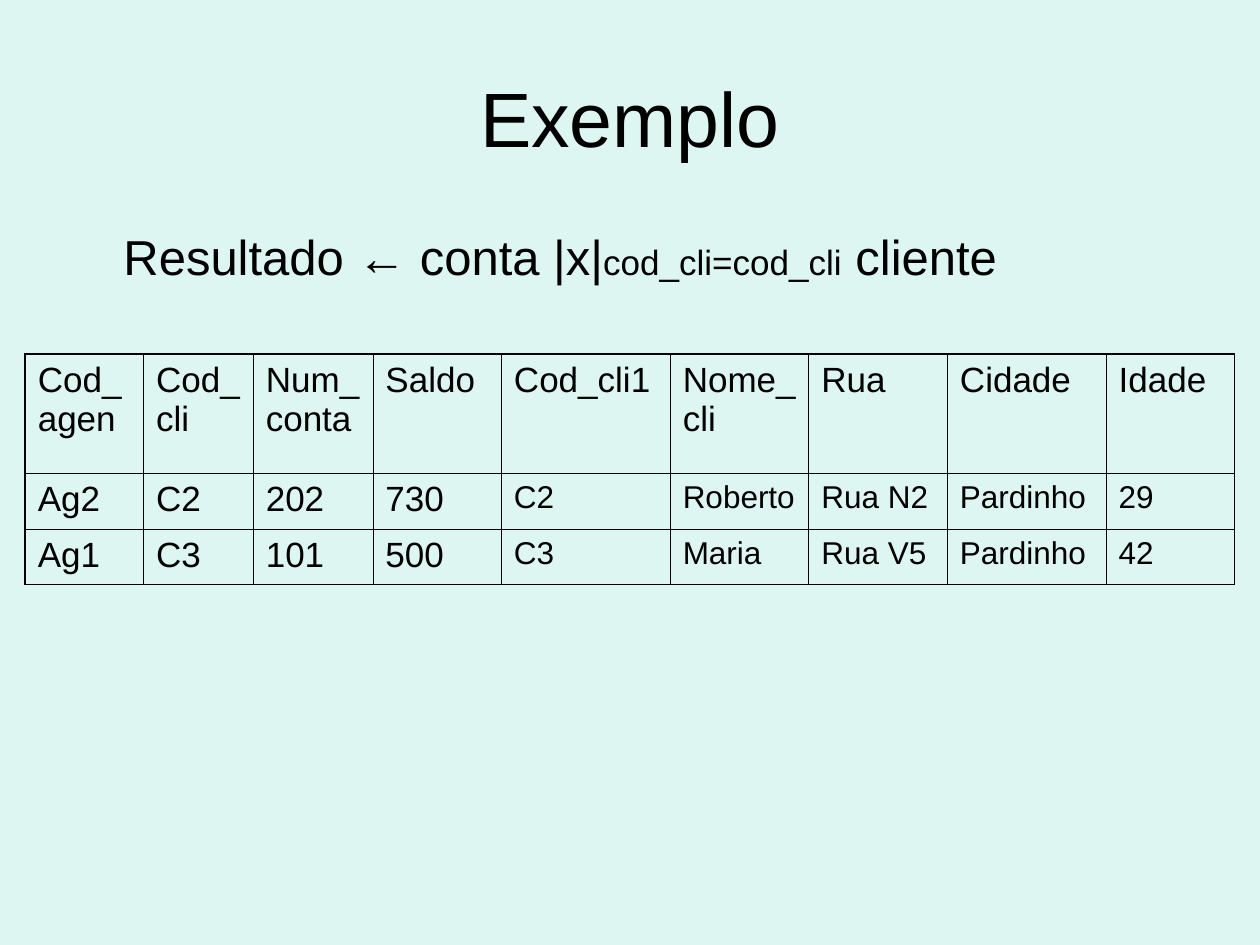
from lxml import etree
from pptx import Presentation
from pptx import util as u
from pptx.dml.color import RGBColor
from pptx.enum import text
from pptx.oxml import ns

BACKGROUND = RGBColor(0xDE, 0xF6, 0xF1)
INK = RGBColor(0, 0, 0)
FONT = "Arial"
INNER, OUTER = 0.45, 1.08

COLUMN_WIDTHS = [0.94, 0.87, 0.95, 1.02, 1.34, 1.1, 1.1, 1.26, 1.02]
ROW_HEIGHTS = [0.95, 0.44, 0.44]
ACCOUNT_COLUMNS = 4
RECORDS = [
    ["Cod_agen", "Cod_cli", "Num_conta", "Saldo", "Cod_cli1",
     "Nome_cli", "Rua", "Cidade", "Idade"],
    ["Ag2", "C2", "202", "730", "C2", "Roberto", "Rua N2", "Pardinho", "29"],
    ["Ag1", "C3", "101", "500", "C3", "Maria", "Rua V5", "Pardinho", "42"],
]


def place(placeholder, box):
    placeholder.left, placeholder.top, placeholder.width, placeholder.height = box
    placeholder.text_frame.auto_size = text.MSO_AUTO_SIZE.NONE


def add_run(paragraph, words, size):
    run = paragraph.add_run()
    run.text = words
    run.font.name = FONT
    run.font.size = u.Pt(size)
    run.font.color.rgb = INK


def write_title(title, box):
    place(title, box)
    title.text_frame.vertical_anchor = text.MSO_ANCHOR.MIDDLE
    heading = title.text_frame.paragraphs[0]
    heading.alignment = text.PP_ALIGN.CENTER
    add_run(heading, "Exemplo", 44)


def write_join(body, box):
    """Relational join expression, with its condition in smaller type."""
    place(body, box)
    expression = body.text_frame.paragraphs[0]
    properties = expression._p.get_or_add_pPr()
    properties.set("marL", str(u.Inches(0.38)))
    properties.set("indent", "0")
    etree.SubElement(properties, ns.qn("a:buNone"))
    expression.space_before = u.Pt(0)
    for words, size in [("Resultado ← conta |x|", 28),
                        ("cod_cli=cod_cli", 20),
                        (" cliente", 28)]:
        add_run(expression, words, size)


def set_borders(cell, widths):
    """Draw the cell's sides; widths maps L, R, T and B to points."""
    properties = cell._tc.get_or_add_tcPr()
    for position, (side, width) in enumerate(widths.items()):
        line = etree.Element(ns.qn(f"a:ln{side}"), w=str(u.Pt(width)))
        fill = etree.SubElement(line, ns.qn("a:solidFill"))
        etree.SubElement(fill, ns.qn("a:srgbClr"), val=str(INK))
        properties.insert(position, line)


def add_result_table(slide, box):
    last_row, last_column = len(RECORDS) - 1, len(COLUMN_WIDTHS) - 1
    table = slide.shapes.add_table(len(RECORDS), len(COLUMN_WIDTHS), *box).table
    table.first_row = table.horz_banding = False
    for column, width in zip(table.columns, COLUMN_WIDTHS):
        column.width = u.Inches(width)
    for row, height in zip(table.rows, ROW_HEIGHTS):
        row.height = u.Inches(height)

    for r, record in enumerate(RECORDS):
        for c, value in enumerate(record):
            cell = table.cell(r, c)
            cell.fill.background()
            client_value = r > 0 and c >= ACCOUNT_COLUMNS
            add_run(cell.text_frame.paragraphs[0], value, 18 if client_value else 20)
            set_borders(cell, {
                "L": OUTER if c == 0 else INNER,
                "R": OUTER if c == last_column else INNER,
                "T": OUTER if r == 0 else INNER,
                "B": OUTER if r == last_row else INNER,
            })


def main():
    deck = Presentation()
    deck.slide_width, deck.slide_height = u.Inches(10), u.Inches(7.5)
    slide = deck.slides.add_slide(deck.slide_layouts[1])
    slide.background.fill.solid()
    slide.background.fill.fore_color.rgb = BACKGROUND

    title, body = slide.placeholders
    write_title(title, [u.Inches(n) for n in (0.5, 0.3, 9, 1.25)])
    write_join(body, [u.Inches(n) for n in (0.5, 1.75, 8.75, 0.82)])
    add_result_table(slide, [u.Inches(n) for n in (
        0.2, 2.81, sum(COLUMN_WIDTHS), sum(ROW_HEIGHTS))])
    deck.save("out.pptx")


if __name__ == "__main__":
    main()
